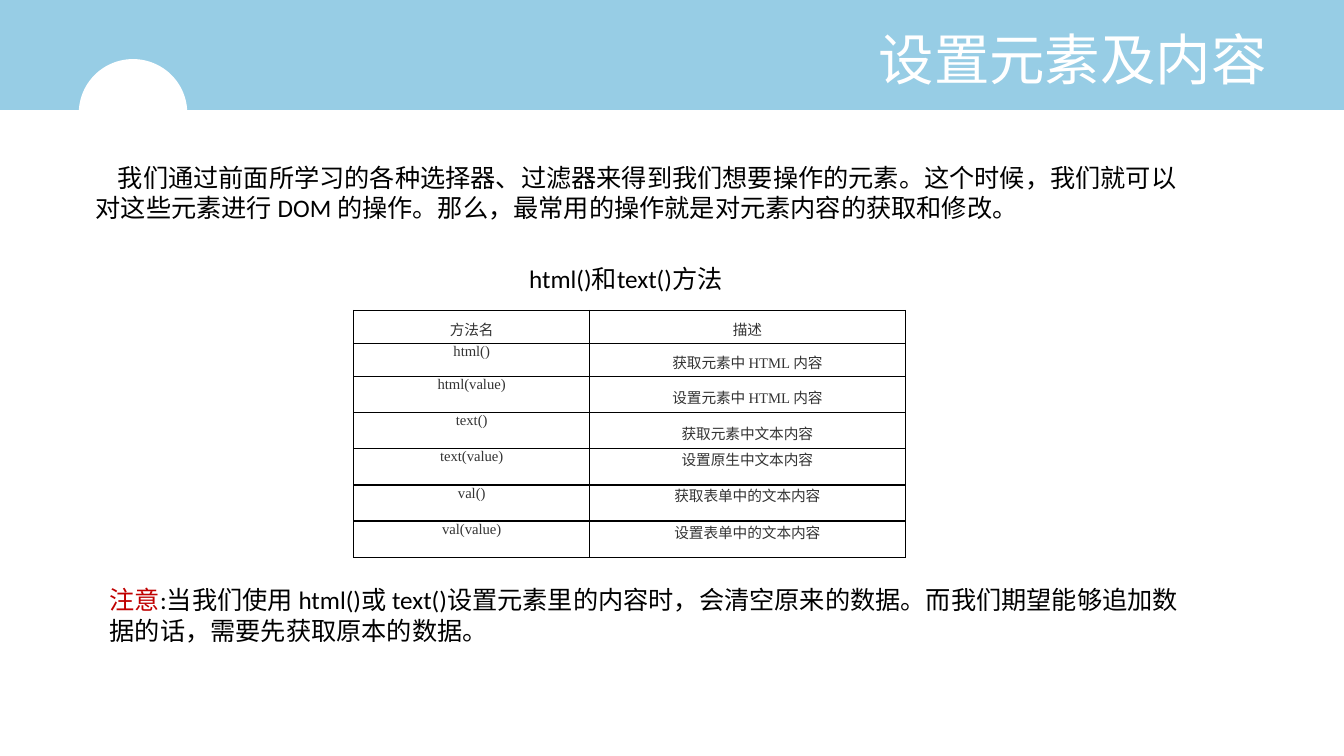
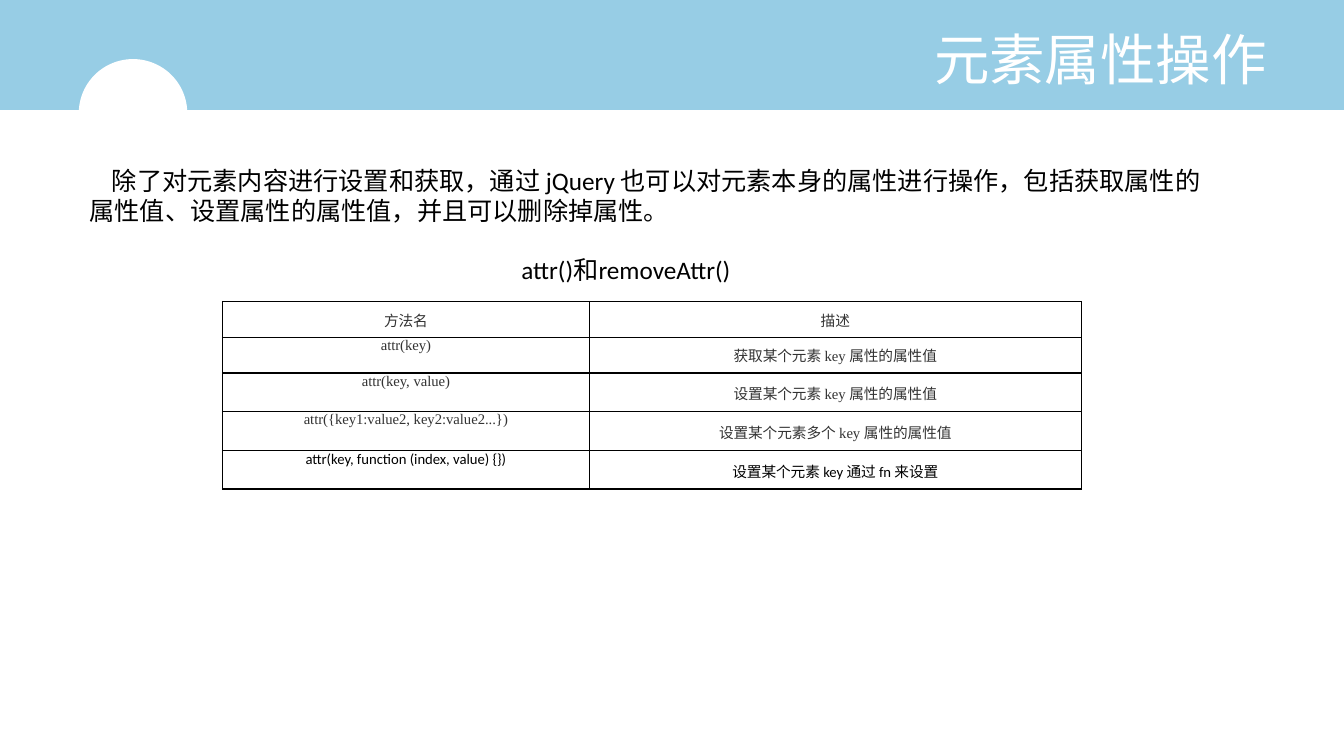
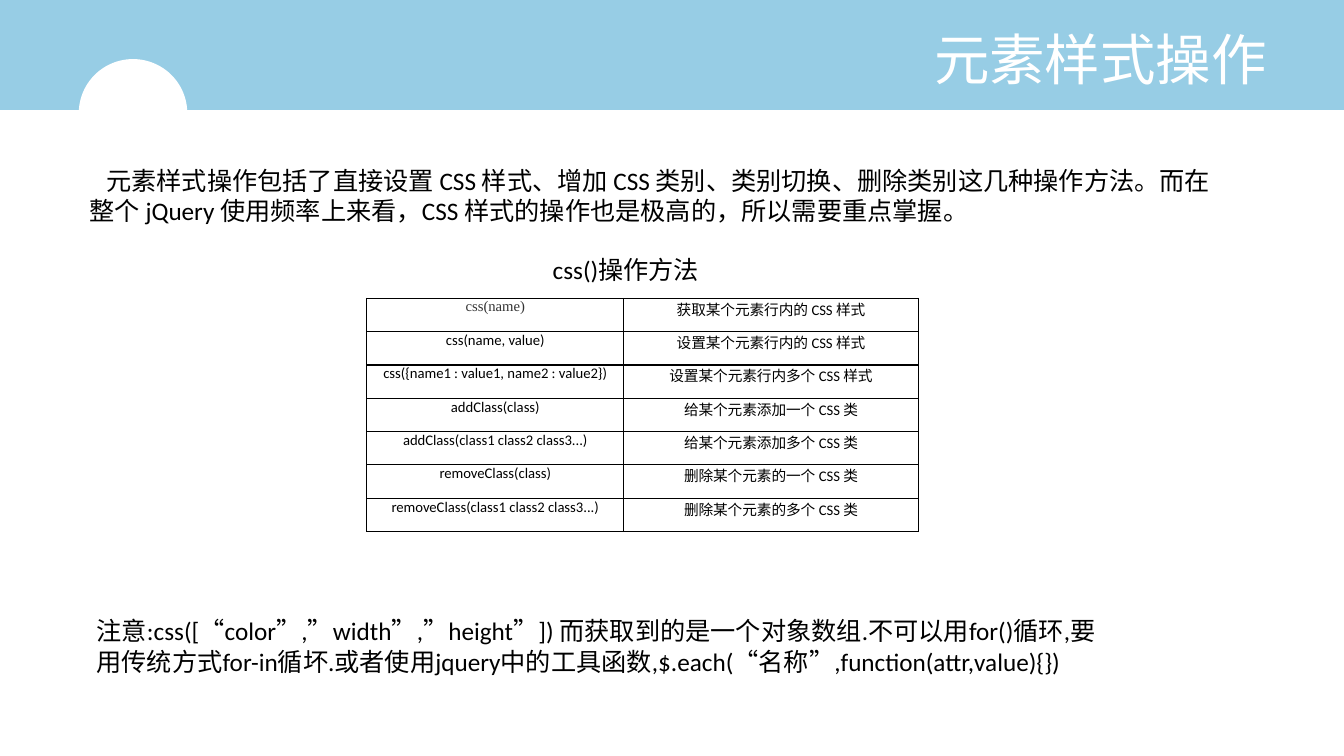
from itertools import cycle
from typing import NamedTuple

from lxml.etree import SubElement
from pptx import Presentation
from pptx.dml.color import RGBColor
from pptx.enum.shapes import MSO_SHAPE as SHAPE
from pptx.enum.text import MSO_ANCHOR as ANCHOR, MSO_AUTO_SIZE as FIT, PP_ALIGN as ALIGN
from pptx.oxml.ns import qn
from pptx.util import Pt

SKY = RGBColor(0x97, 0xCD, 0xE5)
WHITE = RGBColor(0xFF, 0xFF, 0xFF)
BLACK = RGBColor(0, 0, 0)
GREY = RGBColor(0x33, 0x33, 0x33)
RED = RGBColor(0xC0, 0, 0)
SANS, SERIF, CJK = "Calibri", "Times New Roman", "Noto Sans CJK JP"


class Cell(NamedTuple):
    """Table text; its parts, split at "|", take the fonts in turn."""
    text: str
    fonts: tuple = (SANS,)
    color: RGBColor = BLACK
    leading: float = None
    before: float = None


def head(text):
    """Header cell."""
    return Cell(text, (CJK,), GREY, leading=20.6)


def method(text):
    """Method name in grey serif type."""
    return Cell(text, (SERIF,), GREY, before=5.6)


def plain_method(text):
    """Method name in black sans type."""
    return Cell(text, before=5.6)


def about(text, leading=None):
    """Grey description, with Chinese and Latin parts in turn."""
    return Cell(text, (CJK, SERIF), GREY, leading)


class Deck:
    """Holds the shared style and the current slide."""

    def __init__(self):
        self.prs = Presentation()
        self.prs.slide_width, self.prs.slide_height = Pt(960), Pt(540)
        self.layout = self.prs.slide_layouts[5]
        title = self.layout.placeholders[0]
        title.left, title.top, title.width, title.height = Pt(48), Pt(16.5), Pt(864), Pt(50)
        self.slide = None

    def decorate_master(self):
        """Put the band and its half circle on the slide master."""
        self.master_shape(SHAPE.OVAL, 56.3, 42.2, 77.5, 77.2, WHITE, 101)
        self.master_shape(SHAPE.RECTANGLE, 0, 0, 960, 78.5, SKY, 100)

    def master_shape(self, kind, x, y, w, h, color, number):
        """Draw a plain shape and move it to the back of the master."""
        sp = self.slide.shapes.add_shape(kind, Pt(x), Pt(y), Pt(w), Pt(h))
        sp.shadow.inherit = False
        sp.fill.solid()
        sp.fill.fore_color.rgb = color
        sp.line.fill.background()
        sp.element.nvSpPr.cNvPr.set("id", str(number))
        self.prs.slide_master.shapes.element.insert(2, sp.element)

    def add_slide(self, title):
        """Start a slide with its title."""
        first = self.slide is None
        self.slide = self.prs.slides.add_slide(self.layout)
        if first:
            self.decorate_master()
        tf = self.slide.shapes.title.text_frame
        tf.text = title
        tf.auto_size, tf.vertical_anchor = FIT.NONE, ANCHOR.MIDDLE
        p = tf.paragraphs[0]
        p.alignment = ALIGN.RIGHT
        self.font(p, 39.6, SANS, WHITE)

    @staticmethod
    def font(item, size, name, color):
        """Set the font of a paragraph or run."""
        item.font.size, item.font.name = Pt(size), name
        item.font.color.rgb = color

    def text(self, x, y, w, h, text, align=ALIGN.LEFT, indent=0, lead=""):
        """Add an 18 pt paragraph, with an optional red lead word."""
        tf = self.slide.shapes.add_textbox(Pt(x), Pt(y), Pt(w), Pt(h)).text_frame
        tf.word_wrap, tf.auto_size = True, FIT.SHAPE_TO_FIT_TEXT
        p = tf.paragraphs[0]
        p.alignment = align
        if indent:
            p._p.get_or_add_pPr().set("indent", str(Pt(indent)))
        for part, color in ((lead, RED), (text, BLACK)):
            if part:
                r = p.add_run()
                r.text = part
                self.font(r, 18, SANS, color)

    def caption(self, x, y, w, text):
        """Add a centred table caption."""
        self.text(x, y, w, 29, text, ALIGN.CENTER)

    def table(self, x, y, widths, heights, margins, rows):
        """Add a ruled table with unfilled cells."""
        frame = self.slide.shapes.add_table(
            len(rows), len(widths), Pt(x), Pt(y), Pt(sum(widths)), Pt(sum(heights)))
        table = frame.table
        table.first_row = table.horz_banding = False
        for column, width in zip(table.columns, widths):
            column.width = Pt(width)
        for row, height, contents in zip(table.rows, heights, rows):
            row.height = Pt(height)
            for cell, content, margin in zip(row.cells, contents, margins):
                self.cell(cell, content, margin)

    def cell(self, cell, content, margin):
        """Fill in one table cell and rule its borders."""
        cell.margin_left = cell.margin_right = cell.margin_top = cell.margin_bottom = 0
        p = cell.text_frame.paragraphs[0]
        p.alignment = ALIGN.CENTER
        if content.leading:
            p.line_spacing = Pt(content.leading)
        if content.before:
            p.space_before = Pt(content.before)
        for side in ("marL", "marR"):
            p._p.get_or_add_pPr().set(side, str(Pt(margin)))
        for part, name in zip(content.text.split("|"), cycle(content.fonts)):
            r = p.add_run()
            r.text = part
            self.font(r, 10.5, name, content.color)
        tc_pr = cell._tc.get_or_add_tcPr()
        for side in ("lnL", "lnR", "lnT", "lnB"):
            ln = SubElement(tc_pr, qn("a:" + side), w=str(Pt(1)))
            fill = SubElement(ln, qn("a:solidFill"))
            SubElement(fill, qn("a:srgbClr"), val=str(BLACK))
        cell.fill.background()


def content_slide(deck):
    """Reading and setting element content."""
    deck.add_slide("设置元素及内容")
    deck.text(61.2, 112.3, 791.3, 72.7,
              "我们通过前面所学习的各种选择器、过滤器来得到我们想要操作的元素。这个时候，我们就可以"
              "对这些元素进行 DOM 的操作。那么，最常用的操作就是对元素内容的获取和修改。", indent=16)
    deck.table(252.7, 221.8, (168.5, 225.4), [23.6] * 2 + [25.8] * 5, (8, 6.5), [
        (head("方法名"), head("描述")),
        (method("html()"), about("获取元素中 |HTML |内容", 20.6)),
        (method("html(value)"), about("设置元素中 |HTML |内容", 22.1)),
        (method("text()"), about("获取元素中文本内容", 22.2)),
        (method("text(value)"), about("设置原生中文本内容")),
        (method("val()"), about("获取表单中的文本内容")),
        (method("val(value)"), about("设置表单中的文本内容")),
    ])
    deck.caption(244, 184.3, 406, "html()和text()方法")
    deck.text(71.3, 414, 791.3, 72.7,
              ":当我们使用 html()或 text()设置元素里的内容时，会清空原来的数据。"
              "而我们期望能够追加数据的话，需要先获取原本的数据。", lead="注意")


def attribute_slide(deck):
    """Element attributes."""
    deck.add_slide("元素属性操作")
    deck.text(56.9, 114.5, 816.5, 72.7,
              "除了对元素内容进行设置和获取，通过 jQuery 也可以对元素本身的属性进行操作，"
              "包括获取属性的属性值、设置属性的属性值，并且可以删除掉属性。", indent=16)
    deck.table(159, 215.3, (262, 351.4), [25.6] * 2 + [27.6] * 3, (8, 6.5), [
        (head("方法名"), head("描述")),
        (method("attr(key)"), about("获取某个元素 |key |属性的属性值", 20.6)),
        (method("attr(key, value)"), about("设置某个元素 |key |属性的属性值", 22.1)),
        (method("attr({key1:value2, key2:value2...})"),
         about("设置某个元素多个 |key |属性的属性值", 22.1)),
        (plain_method("attr(key, function (index, value) {})"),
         Cell("设置某个元素 key 通过 fn 来设置", leading=22.1)),
    ])
    deck.caption(249.8, 177.8, 394.6, "attr()和removeAttr()")


def style_slide(deck):
    """Element styles and classes."""
    deck.add_slide("元素样式操作")
    deck.text(56.9, 114.5, 816.5, 94.3,
              "元素样式操作包括了直接设置 CSS 样式、增加 CSS 类别、类别切换、删除类别这几种操作方法。"
              "而在整个 jQuery 使用频率上来看，CSS 样式的操作也是极高的，所以需要重点掌握。", indent=12)
    deck.caption(249.8, 177.8, 394.6, "css()操作方法")
    deck.table(262, 213.1, (183.6, 210.2), [23.8] * 7, (7, 25), [
        (method("css(name)"), Cell("获取某个元素行内的 CSS 样式")),
        (plain_method("css(name, value)"), Cell("设置某个元素行内的 CSS 样式")),
        (plain_method("css({name1 : value1, name2 : value2})"),
         Cell("设置某个元素行内多个 CSS 样式")),
        (plain_method("addClass(class)"), Cell("给某个元素添加一个 CSS 类")),
        (plain_method("addClass(class1 class2 class3...)"), Cell("给某个元素添加多个 CSS 类")),
        (plain_method("removeClass(class)"), Cell("删除某个元素的一个 CSS 类")),
        (plain_method("removeClass(class1 class2 class3...)"), Cell("删除某个元素的多个 CSS 类")),
    ])
    deck.text(61.9, 436.3, 742.3, 51,
              "注意:css([“color”,”width”,”height”]) 而获取到的是一个对象数组."
              "不可以用for()循环,要用传统方式for-in循坏."
              "或者使用jquery中的工具函数,$.each(“名称”,function(attr,value){})")


deck = Deck()
content_slide(deck)
attribute_slide(deck)
style_slide(deck)
deck.prs.save("out.pptx")
